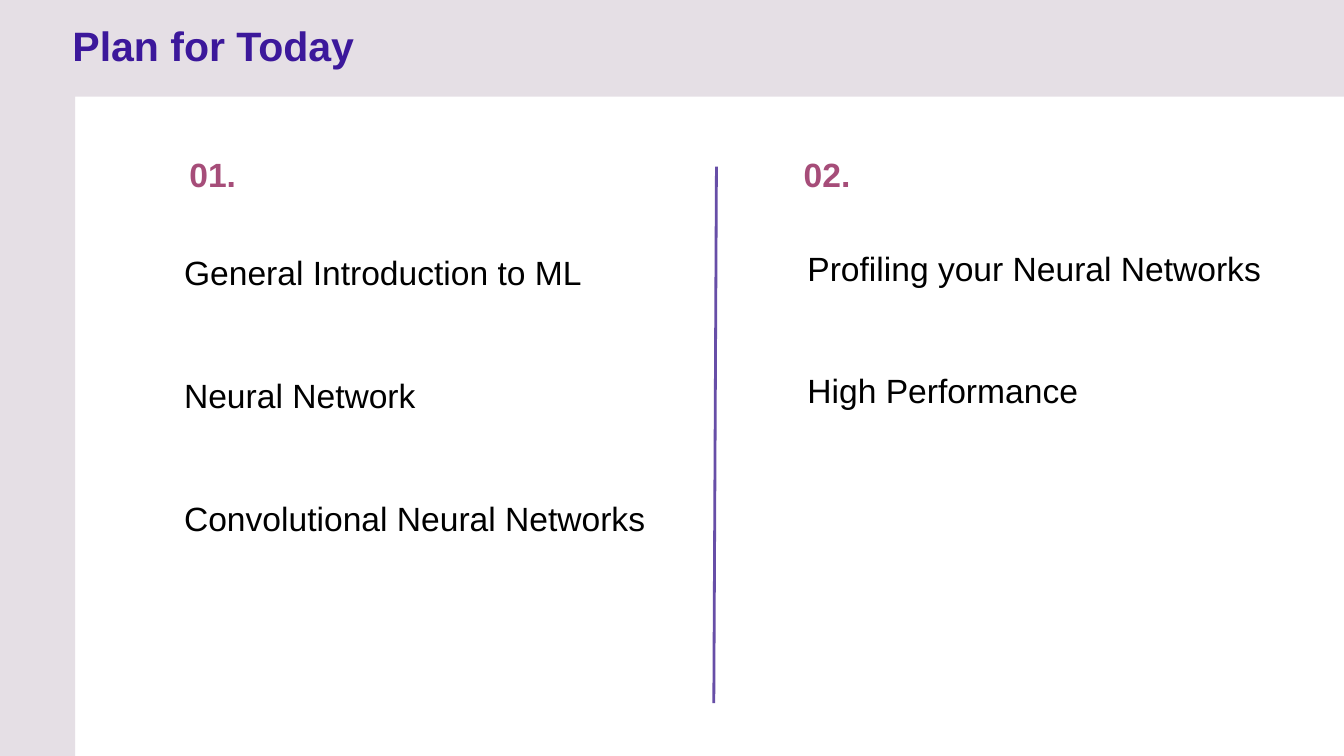
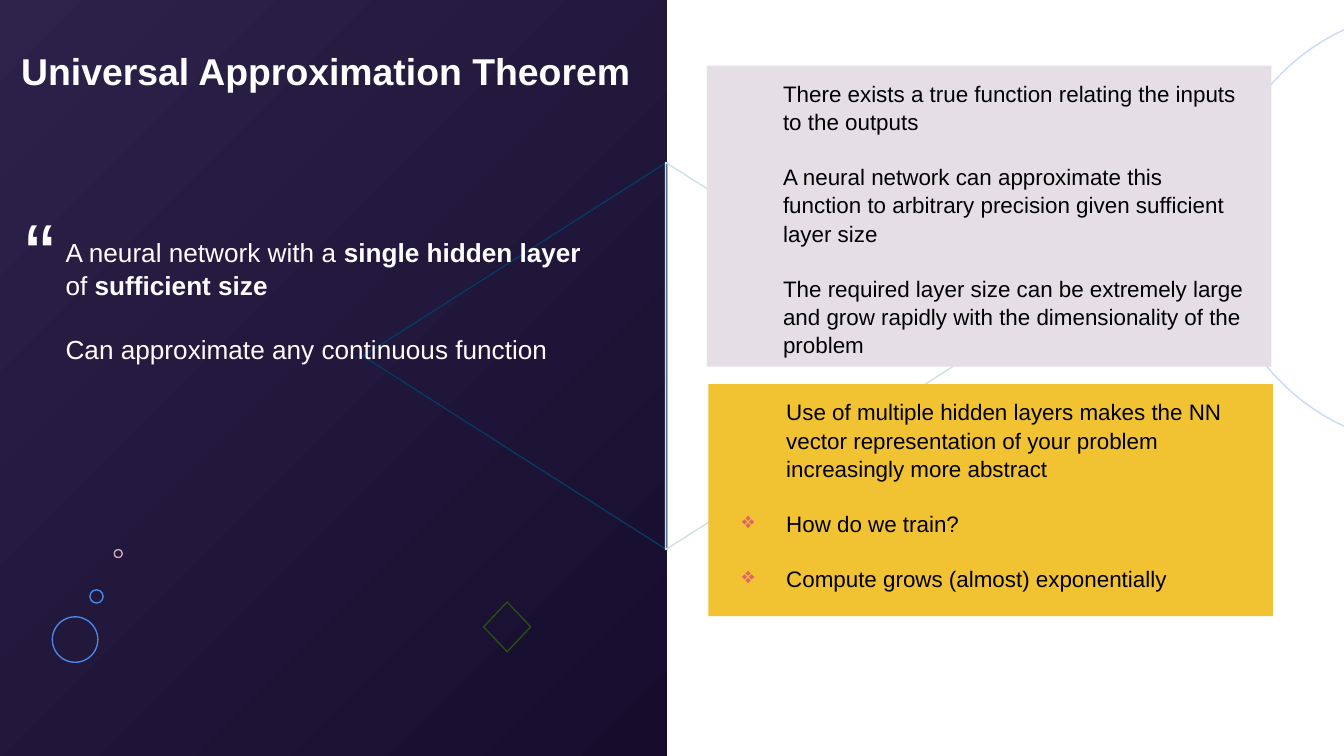
import lxml.etree
import pptx
import pptx.dml.color
import pptx.enum.shapes
import pptx.enum.text
import pptx.oxml.ns
import pptx.util

Cm = pptx.util.Cm
Pt = pptx.util.Pt
Kind = pptx.enum.shapes.MSO_SHAPE
qn = pptx.oxml.ns.qn

FONT = "Arial"
BLACK, WHITE = "000000", "FFFFFF"
MIST, GOLD = "E5DFE5", "F1C232"
PURPLE, VIOLET, PLUM = "3C189B", "674EA7", "A64D79"
NIGHT, DUSK = "160D2D", "2D224A"
NAVY, GREEN, BLUE, PINK = "073763", "274E13", "4A86E8", "D5A6BD"
FROST, SKY, CORAL = "D0E0E3", "C9DAF8", "E06666"
INDENT = Cm(1.27)
HANG = Cm(0.84)


def tint(code):
    return pptx.dml.color.RGBColor.from_string(code)


def place(shape, box):
    shape.left, shape.top, shape.width, shape.height = map(Cm, box)


def style(run, size, color, bold):
    run.font.name = FONT
    run.font.size = Pt(size)
    run.font.color.rgb = tint(color)
    run.font.bold = bold


def set_frame(frame):
    frame.word_wrap = True
    frame.auto_size = pptx.enum.text.MSO_AUTO_SIZE.NONE
    frame.vertical_anchor = pptx.enum.text.MSO_ANCHOR.TOP
    frame.margin_left = frame.margin_right = Cm(0.25)
    frame.margin_top = frame.margin_bottom = Cm(0.25)


def add_title(slide, text, box, size, color):
    title = slide.shapes.title
    place(title, box)
    title.element.getparent().append(title.element)
    frame = title.text_frame
    set_frame(frame)
    frame.text = text
    para = frame.paragraphs[0]
    para.alignment = pptx.enum.text.PP_ALIGN.LEFT
    style(para.runs[0], size, color, True)


def set_bullet(para, mark):
    props = para._p.get_or_add_pPr()
    props.set("indent", str(-HANG))
    hue = lxml.etree.SubElement(props, qn("a:buClr"))
    lxml.etree.SubElement(hue, qn("a:srgbClr")).set("val", CORAL)
    lxml.etree.SubElement(props, qn("a:buChar")).set("char", mark)


def add_text(slide, lines, box, size, color, bold=False, indent=0, gap=1, marked=()):
    frame = slide.shapes.add_textbox(*map(Cm, box)).text_frame
    set_frame(frame)
    for index, line in enumerate(lines):
        para = frame.add_paragraph() if index else frame.paragraphs[0]
        para._p.get_or_add_pPr().set("marL", str(indent))
        if index in marked:
            set_bullet(para, "❖")
        para.line_spacing = 1.05
        if index:
            para.space_before = Pt(round(1.2 * size * gap, 1))
        for turn, part in enumerate(line.split("**")):
            if part:
                run = para.add_run()
                run.text = part
                style(run, size, color, bold or turn % 2 == 1)


def add_block(slide, box, color, end=None):
    block = slide.shapes.add_shape(Kind.RECTANGLE, *map(Cm, box))
    block.shadow.inherit = False
    block.line.fill.background()
    if end:
        block.fill.gradient()
        block.fill.gradient_angle = 315
        for stop, code in zip(block.fill.gradient_stops, (color, end)):
            stop.color.rgb = tint(code)
    else:
        block.fill.solid()
        block.fill.fore_color.rgb = tint(color)


def add_ring(slide, kind, box, color, turn=0):
    ring = slide.shapes.add_shape(kind, *map(Cm, box))
    ring.shadow.inherit = False
    ring.fill.background()
    ring.line.color.rgb = tint(color)
    ring.line.width = Pt(0.75)
    ring.rotation = turn


def add_line(slide, ends, color, width):
    line = slide.shapes.add_connector(
        pptx.enum.shapes.MSO_CONNECTOR.STRAIGHT, *map(Cm, ends))
    line.line.color.rgb = tint(color)
    line.line.width = Pt(width)
    lxml.etree.SubElement(line.element.spPr, qn("a:effectLst"))


def add_slide(deck):
    return deck.slides.add_slide(deck.slide_layouts[5])


def build_plan(deck):
    slide = add_slide(deck)
    add_block(slide, (-0.15, -0.18, 1.57, 14.5), MIST)
    add_block(slide, (-0.15, -0.28, 25.55, 2.11), MIST)
    add_title(slide, "Plan for Today", (1.12, 0.13, 25.2, 1.45), 22, PURPLE)
    add_line(slide, (13.54, 3.15, 13.49, 13.29), VIOLET, 1.5)
    parts = (
        ("01.", 3.33, (1.96, 4.47, 10.6, 9.75),
         ("General Introduction to ML", "Neural Network",
          "Convolutional Neural Networks")),
        ("02.", 14.94, (13.74, 4.39, 10.6, 9),
         ("Profiling your Neural Networks", "High Performance")),
    )
    for label, left, box, lines in parts:
        add_text(slide, [label], (left, 2.62, 1.8, 1.27), 18, PLUM, bold=True)
        add_text(slide, lines, box, 18, BLACK, indent=INDENT, gap=2)


def build_proof(deck):
    slide = add_slide(deck)
    add_block(slide, (-0.15, -0.1, 12.75, 14.6), DUSK, NIGHT)
    add_title(slide, "Universal Approximation Theorem",
              (0.15, 0.66, 14.15, 1.37), 20, WHITE)
    for left, color, turn in ((6.07, NAVY, 270), (11.79, FROST, 90)):
        add_ring(slide, Kind.ISOSCELES_TRIANGLE, (left, 3.86, 7.32, 5.74), color, turn)
    for left, top, size, color in (
            (2.16, 10.39, 0.15, PINK), (0.99, 11.66, 0.86, BLUE),
            (1.7, 11.15, 0.25, BLUE), (23.01, 0.18, 8.26, SKY)):
        add_ring(slide, Kind.OVAL, (left, top, size, size), color)
    add_ring(slide, Kind.DIAMOND, (9.14, 11.38, 0.89, 0.94), GREEN)
    add_text(slide, ["“"], (0.23, 3.4, 1.3, 2.57), 48, WHITE)
    add_text(slide, (
        "A neural network with a **single hidden layer** of **sufficient size**",
        "Can approximate any continuous function",
    ), (0.99, 4.19, 10.77, 4.11), 14, WHITE)
    add_block(slide, (13.36, 1.24, 10.67, 5.69), MIST)
    add_text(slide, (
        "There exists a true function relating the inputs to the outputs",
        "A neural network can approximate this function to arbitrary precision "
        "given sufficient layer size",
        "The required layer size can be extremely large and grow rapidly with "
        "the dimensionality of the problem",
    ), (13.28, 1.24, 10.54, 5.64), 12, BLACK, indent=INDENT)
    add_block(slide, (13.39, 7.26, 10.67, 4.39), GOLD)
    add_text(slide, (
        "Use of multiple hidden layers makes the NN vector representation of "
        "your problem increasingly more abstract",
        "How do we train?",
        "Compute grows (almost) exponentially",
    ), (13.34, 7.26, 10.54, 4.7), 12, BLACK, indent=INDENT, marked=(1, 2))


def main():
    deck = pptx.Presentation()
    deck.slide_width, deck.slide_height = Cm(25.4), Cm(14.29)
    build_plan(deck)
    build_proof(deck)
    deck.save("out.pptx")


if __name__ == "__main__":
    main()
